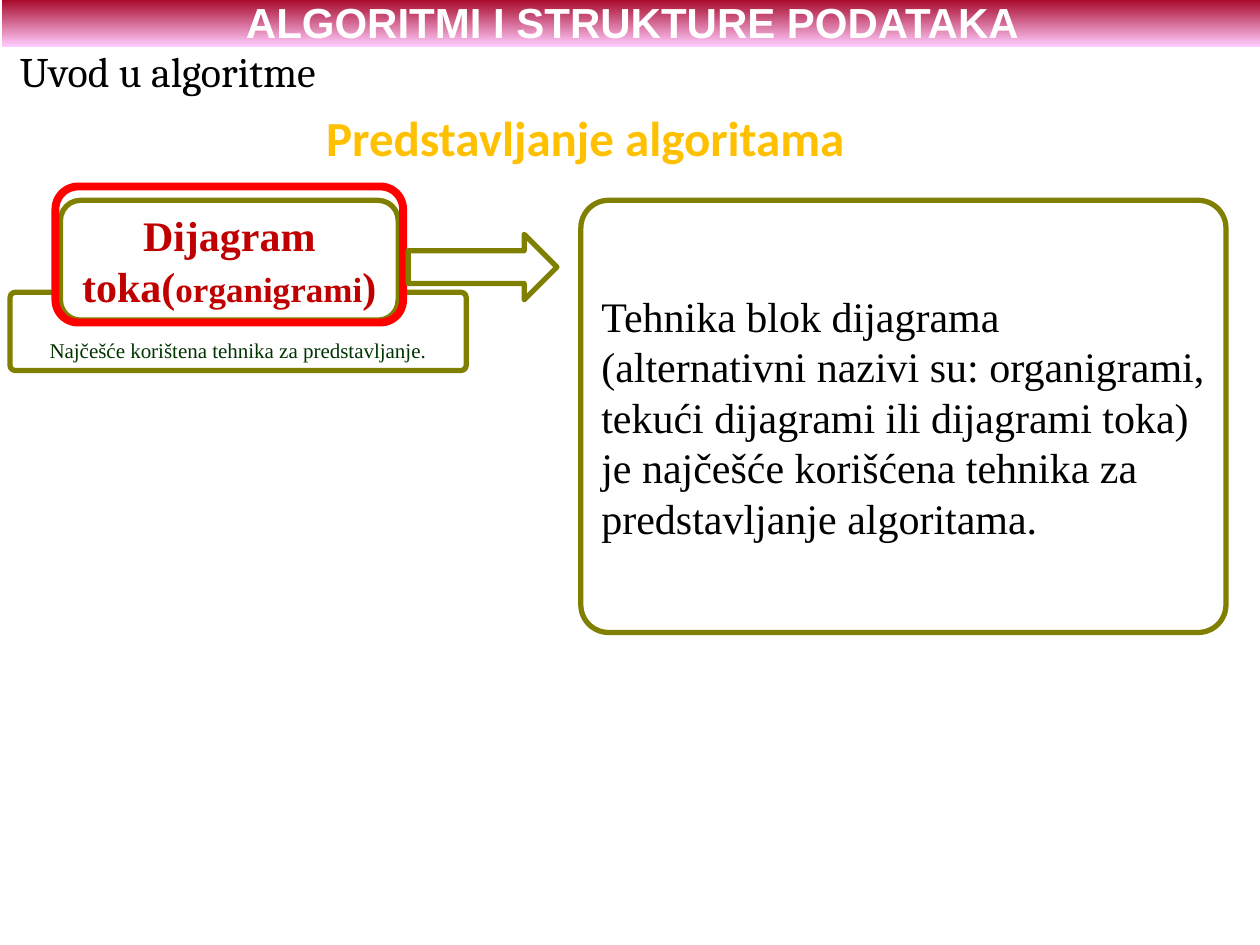
from dataclasses import dataclass
from typing import Optional

from pptx import Presentation
from pptx.dml.color import RGBColor
from pptx.enum.shapes import MSO_SHAPE as Preset
from pptx.enum.text import MSO_ANCHOR as Anchor, MSO_AUTO_SIZE as AutoSize, PP_ALIGN as Align
from pptx.util import Inches, Pt

COLUMNS, ROWS = 100, 75
SLIDE_WIDTH, SLIDE_HEIGHT = Inches(10), Inches(7.5)
SERIF = "Times New Roman"
OLIVE, WHITE, BLACK, RED, DARK_RED = "808000", "FFFFFF", "000000", "FF0000", "C00000"


@dataclass(frozen=True)
class Area:
    column: float
    row: float
    columns: float
    rows: float

    def lengths(self) -> tuple:
        across, down = SLIDE_WIDTH / COLUMNS, SLIDE_HEIGHT / ROWS
        return (int(self.column * across), int(self.row * down),
                int(self.columns * across), int(self.rows * down))


@dataclass(frozen=True)
class Outline:
    area: Area
    preset: Preset = Preset.ROUNDED_RECTANGLE
    corner: Optional[float] = None
    fill: Optional[str] = None
    line: Optional[str] = OLIVE
    weight: float = 3


def color(value: str) -> RGBColor:
    return RGBColor.from_string(value)


def draw_outline(slide, outline: Outline):
    shape = slide.shapes.add_shape(outline.preset, *outline.area.lengths())
    shape.shadow.inherit = False
    if outline.corner is not None:
        shape.adjustments[0] = outline.corner
    if outline.fill:
        shape.fill.solid()
        shape.fill.fore_color.rgb = color(outline.fill)
    else:
        shape.fill.background()
    if outline.line:
        shape.line.color.rgb = color(outline.line)
        shape.line.width = Pt(outline.weight)
    else:
        shape.line.fill.background()
    return shape


def write(shape, text, size=24, font=SERIF, ink=BLACK, bold=False,
          align=Align.CENTER, anchor=Anchor.MIDDLE, wrap=True) -> None:
    frame = shape.text_frame
    frame.word_wrap = wrap
    frame.vertical_anchor = anchor
    paragraph = frame.paragraphs[0]
    paragraph.alignment = align
    pieces = [(text, size)] if isinstance(text, str) else text
    for words, points in pieces:
        run = paragraph.add_run()
        run.text = words
        run.font.size = Pt(points)
        run.font.name = font
        run.font.bold = bold
        run.font.color.rgb = color(ink)


def fill_gradient(shape, top: str, bottom: str) -> None:
    shape.fill.gradient()
    shape.fill.gradient_angle = 270
    for stop, position, value in zip(shape.fill.gradient_stops, (0, 1), (top, bottom)):
        stop.position = position
        stop.color.rgb = color(value)


def draw_diagram(slide) -> None:
    note = draw_outline(slide, Outline(Area(0.8, 23.2, 36.2, 6.2), corner=0.064))
    write(note, "Najčešće korištena tehnika za predstavljanje.",
          size=12, ink="003300", anchor=Anchor.BOTTOM)
    topic = draw_outline(slide, Outline(Area(4.8, 15.9, 26.8, 9.5), corner=0.167, fill=WHITE))
    write(topic, [("Dijagram toka(", 24), ("organigrami", 20), (")", 24)],
          ink=DARK_RED, bold=True)
    draw_outline(slide, Outline(Area(4.4, 14.8, 27.6, 10.8), corner=0.167,
                                line=RED, weight=4.5))
    definition = draw_outline(slide, Outline(Area(46.1, 15.9, 51.2, 34.3),
                                             corner=0.064, fill=WHITE))
    write(definition, "Tehnika blok dijagrama (alternativni nazivi su: organigrami, "
          "tekući dijagrami ili dijagrami toka) je najčešće korišćena tehnika za "
          "predstavljanje algoritama.", align=Align.LEFT)
    draw_outline(slide, Outline(Area(32.4, 18.6, 11.8, 5.2), preset=Preset.RIGHT_ARROW))


def draw_headings(slide) -> None:
    title = slide.shapes.add_textbox(*Area(0, 7.6, 92.9, 6.5).lengths())
    write(title, "Predstavljanje algoritama", size=28, font="Calibri",
          ink="FFC000", bold=True)
    chapter = slide.shapes.add_textbox(*Area(0.6, 3.1, 25.6, 5).lengths())
    write(chapter, "Uvod u algoritme", font="Cambria", align=Align.LEFT,
          anchor=Anchor.TOP, wrap=False)
    chapter.text_frame.auto_size = AutoSize.SHAPE_TO_FIT_TEXT
    banner = draw_outline(slide, Outline(Area(0.2, -0.2, 100, 3.9),
                                         preset=Preset.RECTANGLE, line=None))
    fill_gradient(banner, "A50021", "FFCCFF")
    write(banner, "ALGORITMI I STRUKTURE PODATAKA", font="Arial", ink=WHITE, bold=True)


def main() -> None:
    presentation = Presentation()
    presentation.slide_width, presentation.slide_height = SLIDE_WIDTH, SLIDE_HEIGHT
    slide = presentation.slides.add_slide(presentation.slide_layouts[6])
    draw_diagram(slide)
    draw_headings(slide)
    presentation.save("out.pptx")


if __name__ == "__main__":
    main()
